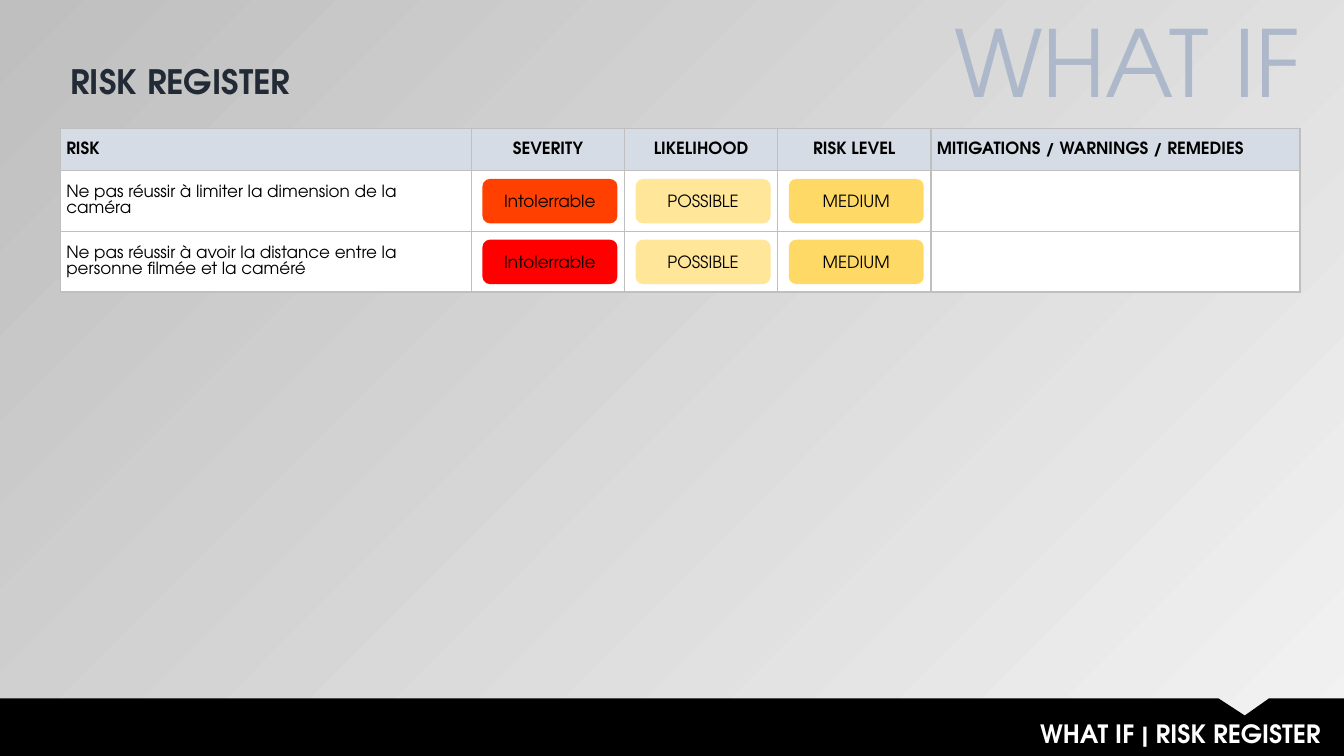
from dataclasses import dataclass

from lxml.etree import SubElement
from pptx import Presentation
from pptx.dml.color import RGBColor as Rgb
from pptx.enum.shapes import MSO_SHAPE as Shape
from pptx.enum.text import MSO_ANCHOR as Anchor, PP_ALIGN as Align
from pptx.oxml.ns import qn
from pptx.util import Cm, Pt


@dataclass(frozen=True)
class Theme:
    font: str = "TeX Gyre Adventor"
    black: str = "000000"
    white: str = "FFFFFF"
    title: str = "222A35"
    watchword: str = "ADB9CA"
    header: str = "D6DCE5"
    rule: str = "BFBFBF"
    light: str = "F2F2F2"
    orange: str = "FF4000"
    red: str = "FF0000"
    cream: str = "FFE699"
    gold: str = "FFD966"
    body_size: int = 12
    footer_size: int = 18
    title_size: int = 24
    watchword_size: int = 66


THEME = Theme()
WIDTH, HEIGHT = 33.87, 19.05
COLUMNS = [10.36, 3.86, 3.86, 3.86, 9.3]
ROWS = [1.07, 1.53, 1.53]
HEADINGS = ["RISK", "SEVERITY", "LIKELIHOOD", "RISK LEVEL",
            "MITIGATIONS / WARNINGS / REMEDIES"]
RISKS = [
    ("Ne pas réussir à limiter la dimension de la caméra",
     [("Intolerrable", THEME.orange), ("POSSIBLE", THEME.cream), ("MEDIUM", THEME.gold)]),
    ("Ne pas réussir à avoir la distance entre la personne filmée et la caméré",
     [("Intolerrable", THEME.red), ("POSSIBLE", THEME.cream), ("MEDIUM", THEME.gold)]),
]


def write(frame, text, size=THEME.body_size, color=THEME.black, bold=False,
          align=Align.LEFT, anchor=Anchor.TOP, spacing=None):
    frame.word_wrap = True
    frame.vertical_anchor = anchor
    paragraph = frame.paragraphs[0]
    paragraph.alignment = align
    paragraph.line_spacing = spacing
    run = paragraph.add_run()
    run.text = text
    run.font.name = THEME.font
    run.font.size = Pt(size)
    run.font.bold = bold
    run.font.color.rgb = Rgb.from_string(color)


def paint(shape, color):
    shape.fill.solid()
    shape.fill.fore_color.rgb = Rgb.from_string(color)


def add_background(slide):
    fill = slide.background.fill
    fill.gradient()
    fill.gradient_angle = 135
    for stop, color in zip(fill.gradient_stops, (THEME.light, THEME.rule)):
        stop.color.rgb = Rgb.from_string(color)


def add_label(slide, text, left, top, width, height, **style):
    label = slide.shapes.add_textbox(Cm(left), Cm(top), Cm(width), Cm(height))
    write(label.text_frame, text, align=Align.RIGHT, **style)


def add_heading(slide, left, top, width, height):
    title = slide.shapes.title
    title.left, title.top, title.width, title.height = map(Cm, (left, top, width, height))
    write(title.text_frame, "RISK REGISTER", size=THEME.title_size,
          color=THEME.title, bold=True)


def add_footer(slide, left, top, width, height):
    right, bottom = left + width, top + height
    notch = [(30.71, top), (31.37, top + 0.43), (31.98, top)]
    outline = notch + [(right, top), (right, bottom), (left, bottom)]
    builder = slide.shapes.build_freeform(Cm(left), Cm(top))
    builder.add_line_segments([(Cm(x), Cm(y)) for x, y in outline], close=True)
    band = builder.convert_to_shape()
    band.shadow.inherit = False
    band.line.fill.background()
    paint(band, THEME.black)
    add_label(slide, "WHAT IF | RISK REGISTER", right - 23.35, top + 0.38, 23.01, 1.02,
              size=THEME.footer_size, color=THEME.white, bold=True)


def format_cell(cell, color):
    paint(cell, color)
    cell.margin_left = cell.margin_right = Cm(0.15)
    cell.margin_top = cell.margin_bottom = Cm(0.13)
    properties = cell.fill._xPr
    for index, side in enumerate(("a:lnL", "a:lnR", "a:lnT", "a:lnB")):
        border = SubElement(properties, qn(side), w=str(Pt(0.96)))
        solid = SubElement(border, qn("a:solidFill"))
        SubElement(solid, qn("a:srgbClr"), val=THEME.rule)
        properties.insert(index, border)


def add_rating(slide, text, color, left, top, width, height):
    rating = slide.shapes.add_shape(Shape.ROUNDED_RECTANGLE, Cm(left), Cm(top),
                                    Cm(width), Cm(height))
    rating.shadow.inherit = False
    rating.line.fill.background()
    paint(rating, color)
    write(rating.text_frame, text, align=Align.CENTER, anchor=Anchor.MIDDLE)


def add_register(slide, left, top):
    table = slide.shapes.add_table(len(ROWS), len(COLUMNS), Cm(left), Cm(top),
                                   Cm(sum(COLUMNS)), Cm(sum(ROWS))).table
    table.horz_banding = False
    for column, width in zip(table.columns, COLUMNS):
        column.width = Cm(width)
    for row, height in zip(table.rows, ROWS):
        row.height = Cm(height)
    for index, cell in enumerate(table.iter_cells()):
        format_cell(cell, THEME.header if index < len(COLUMNS) else THEME.white)
    for column, heading in enumerate(HEADINGS):
        cell = table.cell(0, column)
        write(cell.text_frame, heading, bold=True, spacing=1.07,
              align=Align.CENTER if 0 < column < 4 else Align.LEFT)
        cell.vertical_anchor = Anchor.MIDDLE
    for row, (risk, ratings) in enumerate(RISKS, start=1):
        cell = table.cell(row, 0)
        write(cell.text_frame, risk)
        cell.vertical_anchor = Anchor.MIDDLE
        for column, (rating, color) in enumerate(ratings, start=1):
            add_rating(slide, rating, color, left + sum(COLUMNS[:column]) + 0.28,
                       top + sum(ROWS[:row]) + 0.21, 3.4, 1.12)


def main():
    deck = Presentation()
    deck.slide_width, deck.slide_height = Cm(WIDTH), Cm(HEIGHT)
    slide = deck.slides.add_slide(deck.slide_layouts[5])
    add_background(slide)
    add_footer(slide, 0, 17.6, WIDTH, HEIGHT - 17.6)
    add_label(slide, "WHAT IF", 23.09, 0, 9.93, 3.05,
              size=THEME.watchword_size, color=THEME.watchword)
    add_heading(slide, 1.52, 1.4, 22.61, 1.27)
    add_register(slide, 1.52, 3.23)
    deck.save("out.pptx")


if __name__ == "__main__":
    main()
